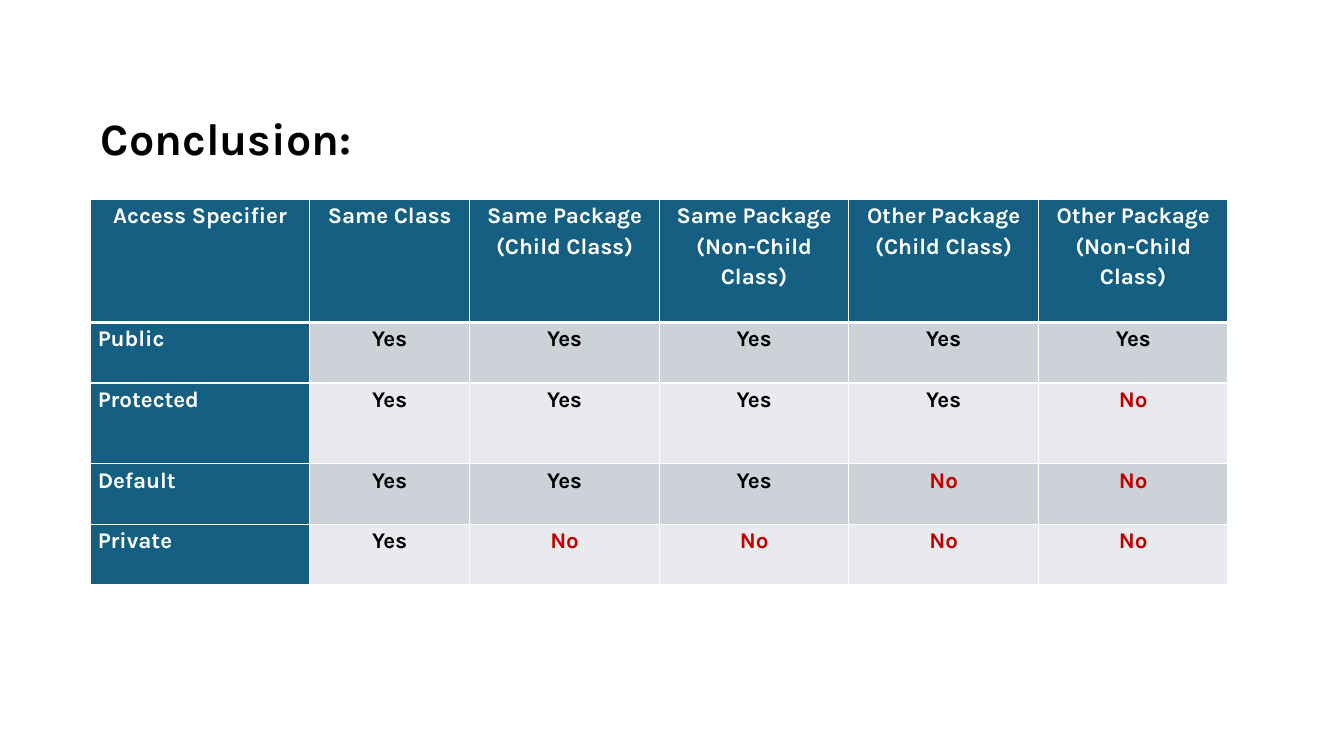
from lxml.etree import SubElement
from pptx import Presentation
from pptx.dml.color import RGBColor
from pptx.enum.text import MSO_ANCHOR, MSO_AUTO_SIZE, PP_ALIGN
from pptx.oxml.ns import qn
from pptx.util import Inches, Pt

FONT = "Karla"
COLORS = {
    "header": "156082",
    "band_dark": "CCD2D8",
    "band_light": "E8EAED",
    "white": "FFFFFF",
    "black": "000000",
    "red": "C00000",
}
COLUMN_WIDTHS = [2.17, 1.59] + [1.88] * 4
ROW_HEIGHTS = [1.22, 0.6, 0.8, 0.6, 0.6]
ACCESS_ROWS = [
    ["Access Specifier", "Same Class",
     "Same Package (Child Class)", "Same Package (Non-Child Class)",
     "Other Package (Child Class)", "Other Package (Non-Child Class)"],
    ["Public", "Yes", "Yes", "Yes", "Yes", "Yes"],
    ["Protected", "Yes", "Yes", "Yes", "Yes", "No"],
    ["Default", "Yes", "Yes", "Yes", "No", "No"],
    ["Private", "Yes", "No", "No", "No", "No"],
]


def color(name):
    return RGBColor.from_string(COLORS[name])


def add_run(paragraph, text, size, color_name):
    run = paragraph.add_run()
    run.text = text
    run.font.name = FONT
    run.font.size = Pt(size)
    run.font.bold = True
    run.font.color.rgb = color(color_name)


def add_title(slide, text):
    title = slide.shapes.title
    title.left, title.top = Inches(0.9), Inches(1.05)
    title.width, title.height = Inches(4.87), Inches(0.64)
    frame = title.text_frame
    frame.auto_size = MSO_AUTO_SIZE.NONE
    frame.vertical_anchor = MSO_ANCHOR.TOP
    paragraph = frame.paragraphs[0]
    paragraph.alignment = PP_ALIGN.LEFT
    add_run(paragraph, text, 32, "black")


def set_borders(cell, top, bottom):
    """Draw white borders; must run before the fill to keep the XML order."""
    properties = cell._tc.get_or_add_tcPr()
    widths = {"a:lnL": 1, "a:lnR": 1, "a:lnT": top, "a:lnB": bottom}
    for tag, width in widths.items():
        line = SubElement(properties, qn(tag), w=str(Pt(width)))
        fill = SubElement(line, qn("a:solidFill"))
        SubElement(fill, qn("a:srgbClr"), val=COLORS["white"])


def cell_colors(row, column, text):
    """Return the fill and text colour names of a cell."""
    if row == 0 or column == 0:
        return "header", "white"
    band = "band_dark" if row % 2 else "band_light"
    return band, "red" if text == "No" else "black"


def format_cell(cell, row, column, text):
    fill_name, text_name = cell_colors(row, column, text)
    set_borders(cell, top=3 if row == 1 else 1, bottom=3 if row == 0 else 1)
    cell.fill.solid()
    cell.fill.fore_color.rgb = color(fill_name)
    cell.margin_left = cell.margin_right = Inches(0.07)
    cell.margin_top = cell.margin_bottom = 0
    paragraph = cell.text_frame.paragraphs[0]
    is_row_label = column == 0 and row > 0
    paragraph.alignment = PP_ALIGN.LEFT if is_row_label else PP_ALIGN.CENTER
    paragraph.line_spacing = 1.15
    paragraph.space_after = Pt(8)
    add_run(paragraph, text, 16, text_name)


def add_access_table(slide):
    frame = slide.shapes.add_table(
        len(ACCESS_ROWS), len(COLUMN_WIDTHS), Inches(0.9), Inches(1.98),
        Inches(sum(COLUMN_WIDTHS)), Inches(sum(ROW_HEIGHTS)))
    table = frame.table
    table.first_col = True
    table.horz_banding = False
    for column, width in zip(table.columns, COLUMN_WIDTHS):
        column.width = Inches(width)
    for row, height in zip(table.rows, ROW_HEIGHTS):
        row.height = Inches(height)
    for row, texts in enumerate(ACCESS_ROWS):
        for column, text in enumerate(texts):
            format_cell(table.cell(row, column), row, column, text)


def main():
    presentation = Presentation()
    presentation.slide_width = Inches(13.33)
    presentation.slide_height = Inches(7.5)
    title_only = presentation.slide_layouts.get_by_name("Title Only")
    slide = presentation.slides.add_slide(title_only)
    add_title(slide, "Conclusion:")
    add_access_table(slide)
    presentation.save("out.pptx")


if __name__ == "__main__":
    main()
